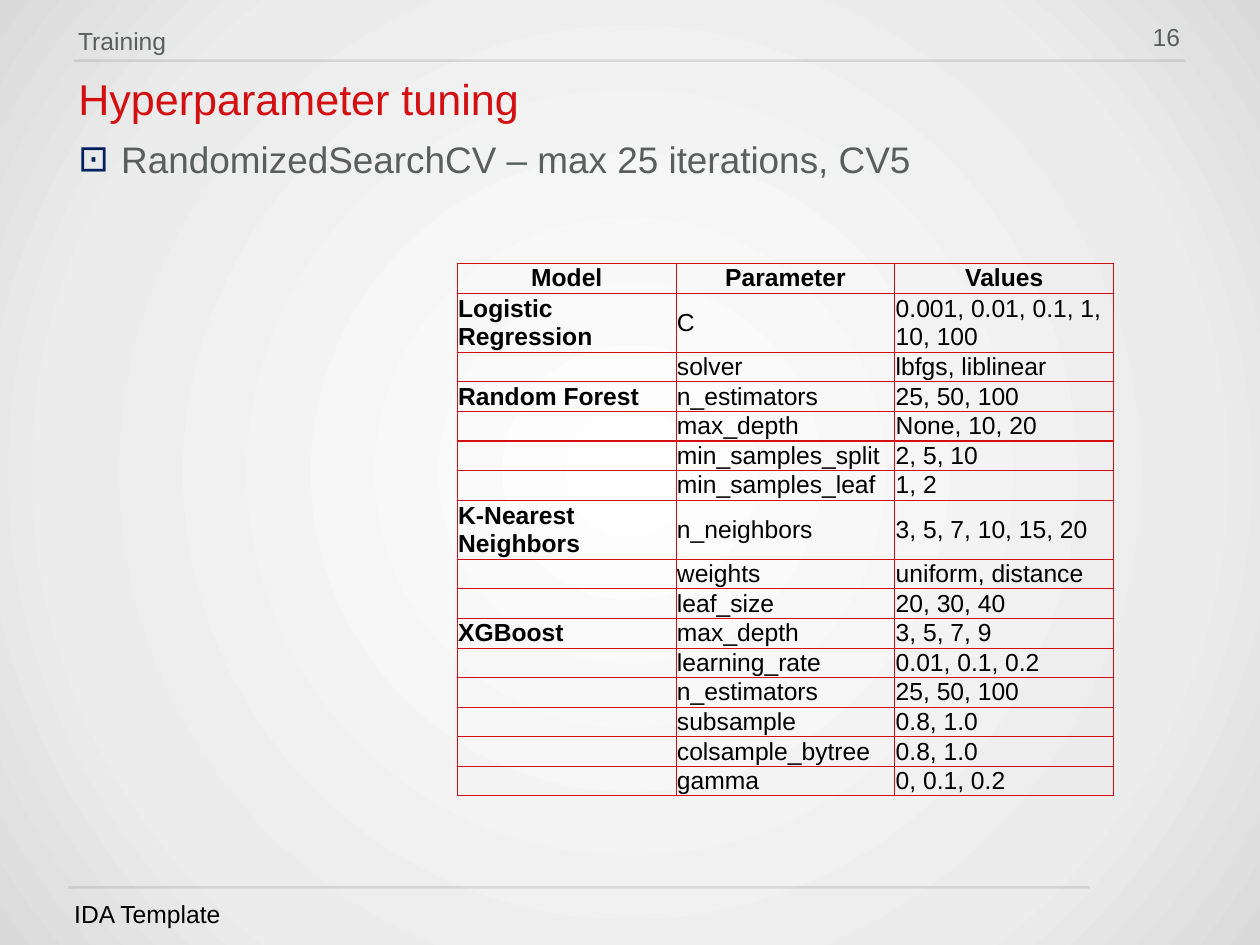
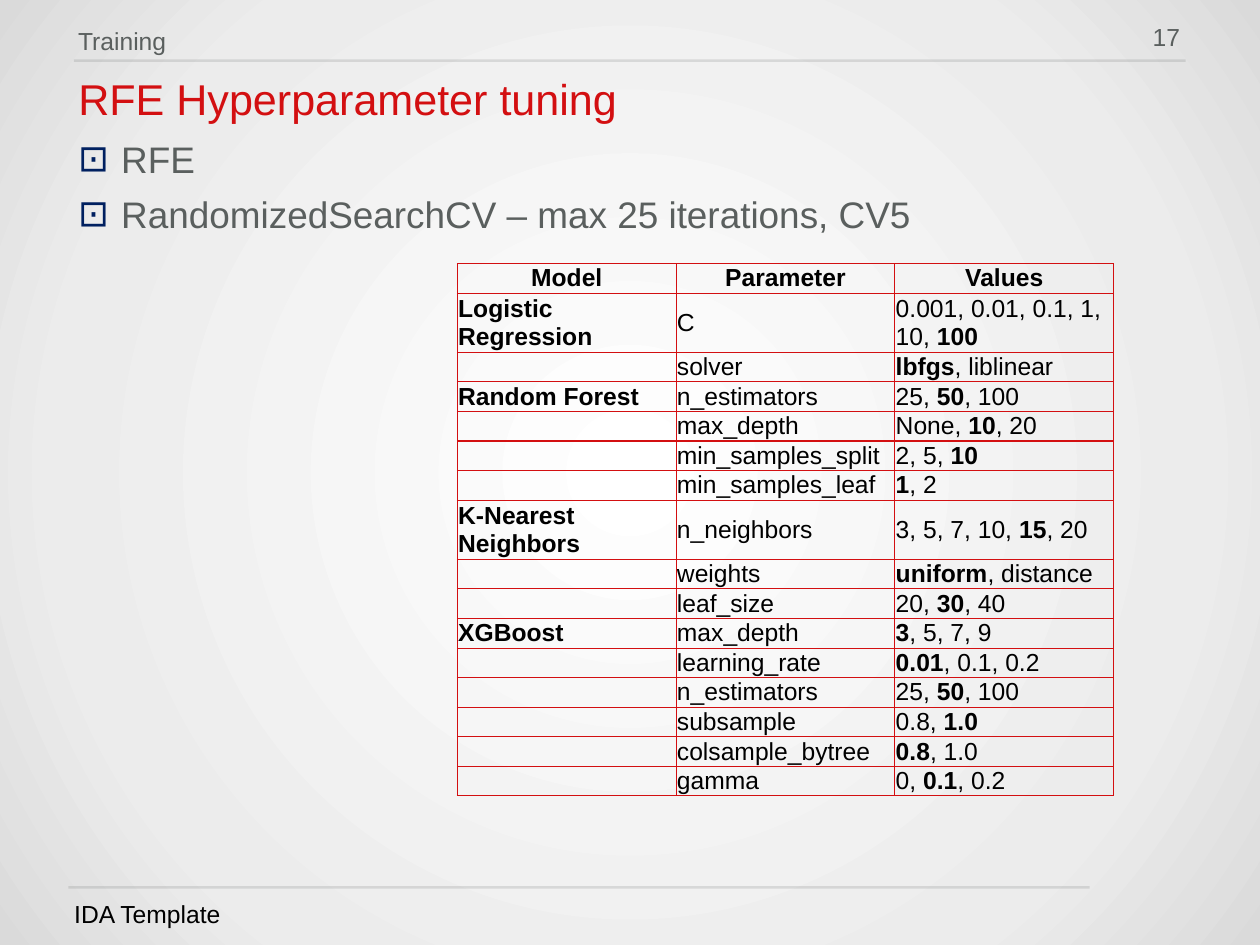
import dataclasses

import lxml.etree
import pptx
import pptx.dml.color
import pptx.enum.shapes
import pptx.enum.text
import pptx.oxml.ns
import pptx.util

Pt = pptx.util.Pt
qn = pptx.oxml.ns.qn
Align = pptx.enum.text.PP_ALIGN
Anchor = pptx.enum.text.MSO_ANCHOR


@dataclasses.dataclass(frozen=True)
class Theme:
    font: str = "Arial"
    red: str = "D30F11"
    grey: str = "5A5F5E"
    navy: str = "002060"
    black: str = "000000"
    glow: tuple = ((0, "FFFFFF"), (73, "ECECEC"), (100, "DADADA"))
    small: int = 20
    body: int = 30
    title: int = 35


theme = Theme()


def node(parent, tag, **attrs):
    """Add an XML child with the given attributes."""
    child = lxml.etree.SubElement(parent, qn(tag))
    for key, value in attrs.items():
        child.set(key, str(value))
    return child


def write(para, text, size=theme.small, color=theme.black, bold=False,
          align=None, lead=None, before=None):
    """Fill a paragraph; parts between stars are bold."""
    para.alignment = align
    if lead is not None:
        para.line_spacing = lead
    if before is not None:
        para.space_before = Pt(before)
    for i, part in enumerate(text.split("*")):
        if part:
            run = para.add_run()
            run.text = part
            font = run.font
            font.name, font.size = theme.font, Pt(size)
            font.bold = bold or i % 2 == 1
            font.color.rgb = pptx.dml.color.RGBColor.from_string(color)
    if not text:
        end = node(para._p, "a:endParaRPr", sz=size * 100)
        node(end, "a:latin", typeface=theme.font)


class Deck:
    def __init__(self):
        self.show = pptx.Presentation()
        self.show.slide_width, self.show.slide_height = Pt(1024), Pt(768)
        self.slide = None
        self.glow()

    def glow(self):
        """Round gradient behind every slide."""
        master = self.show.slide_master
        master.background.fill.gradient()
        grad = master.element.find(".//" + qn("a:gradFill"))
        for child in list(grad):
            grad.remove(child)
        stops = node(grad, "a:gsLst")
        for pos, color in theme.glow:
            node(node(stops, "a:gs", pos=pos * 1000), "a:srgbClr", val=color)
        ring = node(grad, "a:path", path="circle")
        node(ring, "a:fillToRect", l=50000, t=50000, r=50000, b=50000)

    def line(self, left, right, top):
        rule = self.slide.shapes.add_connector(
            pptx.enum.shapes.MSO_CONNECTOR.STRAIGHT,
            Pt(left), Pt(top), Pt(right), Pt(top))
        rule.line.width = Pt(2)
        rule.line.color.rgb = pptx.dml.color.RGBColor.from_string(theme.grey)
        props = rule._element.spPr
        node(props.find(".//" + qn("a:srgbClr")), "a:alpha", val=16000)
        node(props, "a:effectLst")

    def text(self, box, *lines, bullet=None, anchor=Anchor.TOP, **style):
        frame = self.slide.shapes.add_textbox(*map(Pt, box)).text_frame
        frame.word_wrap = True
        frame.vertical_anchor = anchor
        frame.margin_left = frame.margin_right = Pt(4.5)
        frame.margin_top = frame.margin_bottom = Pt(4.5)
        for i, line in enumerate(lines):
            para = frame.add_paragraph() if i else frame.paragraphs[0]
            write(para, line, **style)
            if bullet:
                props = para._p.get_or_add_pPr()
                props.set("marL", str(Pt(35)))
                props.set("indent", str(-Pt(35)))
                node(node(props, "a:buClr"), "a:srgbClr", val=theme.navy)
                node(props, "a:buFont", typeface=theme.font)
                node(props, "a:buChar", char=bullet)

    def page(self, number, title, *points):
        """Start a slide with its rules, header, title, points and footer."""
        self.slide = self.show.slides.add_slide(self.show.slide_layouts[6])
        self.line(60, 963.5, 49.2)
        self.line(55.5, 885.5, 721.2)
        self.text((924.5, 15.7, 39, 31.5), str(number), color=theme.grey,
                  align=Align.RIGHT, lead=0.9, before=12)
        self.text((59, 16.5, 748, 68), "Training", color=theme.grey, before=12)
        self.text((59.2, 59.2, 903, 48), title, size=theme.title,
                  color=theme.red, lead=0.9)
        self.text((59, 97.2, 903, 4 + 45 * len(points)), *points, bullet="⊡",
                  size=theme.body, color=theme.grey, lead=Pt(45))
        self.text((55.8, 727, 431, 32), "IDA Template",
                  anchor=Anchor.BOTTOM, before=12)

    def grid(self, rows):
        """Table with thin borders; long model names take two lines."""
        tall = [42 if len(row[0]) > 15 else 21 for row in rows]
        table = self.slide.shapes.add_table(
            len(rows), 3, Pt(371.7), Pt(214.2), Pt(533.4), Pt(sum(tall))).table
        table.first_row = table.horz_banding = False
        for col in table.columns:
            col.width = Pt(177.8)
        for r, row in enumerate(rows):
            table.rows[r].height = Pt(tall[r])
            for c, text in enumerate(row):
                self.cell(table.cell(r, c), text, bold=r == 0 or c == 0,
                          align=None if r else Align.CENTER)

    def cell(self, cell, text, **style):
        cell.vertical_anchor = Anchor.MIDDLE
        cell.margin_left = cell.margin_right = Pt(0.7)
        cell.margin_top = cell.margin_bottom = 0
        props = cell._tc.get_or_add_tcPr()
        for side in "LRTB":
            edge = node(props, "a:ln" + side, w=Pt(1))
            node(node(edge, "a:solidFill"), "a:srgbClr", val=theme.red)
        node(props, "a:noFill")
        write(cell.text_frame.paragraphs[0], text, **style)


# Search space, with the best values between stars
HEAD = ("Model", "Parameter", "Values")
BEST = [
    ("Logistic Regression", "C", "0.001, 0.01, 0.1, 1, 10, *100*"),
    ("", "solver", "*lbfgs*, liblinear"),
    ("Random Forest", "n_estimators", "25, *50*, 100"),
    ("", "max_depth", "None, *10*, 20"),
    ("", "min_samples_split", "2, 5, *10*"),
    ("", "min_samples_leaf", "*1*, 2"),
    ("K-Nearest Neighbors", "n_neighbors", "3, 5, 7, 10, *15*, 20"),
    ("", "weights", "*uniform*, distance"),
    ("", "leaf_size", "20, *30*, 40"),
    ("XGBoost", "max_depth", "*3*, 5, 7, 9"),
    ("", "learning_rate", "*0.01*, 0.1, 0.2"),
    ("", "n_estimators", "25, *50*, 100"),
    ("", "subsample", "0.8, *1.0*"),
    ("", "colsample_bytree", "*0.8*, 1.0"),
    ("", "gamma", "0, *0.1*, 0.2"),
]
SEARCH = "RandomizedSearchCV – max 25 iterations, CV5"


def main():
    deck = Deck()

    # Search space alone
    deck.page(16, "Hyperparameter tuning", SEARCH)
    deck.grid([HEAD] + [(m, p, v.replace("*", "")) for m, p, v in BEST])

    # Search space with the best values in bold
    deck.page(17, "RFE Hyperparameter tuning", "RFE", SEARCH)
    deck.grid([HEAD] + BEST)

    deck.show.save("out.pptx")


if __name__ == "__main__":
    main()
